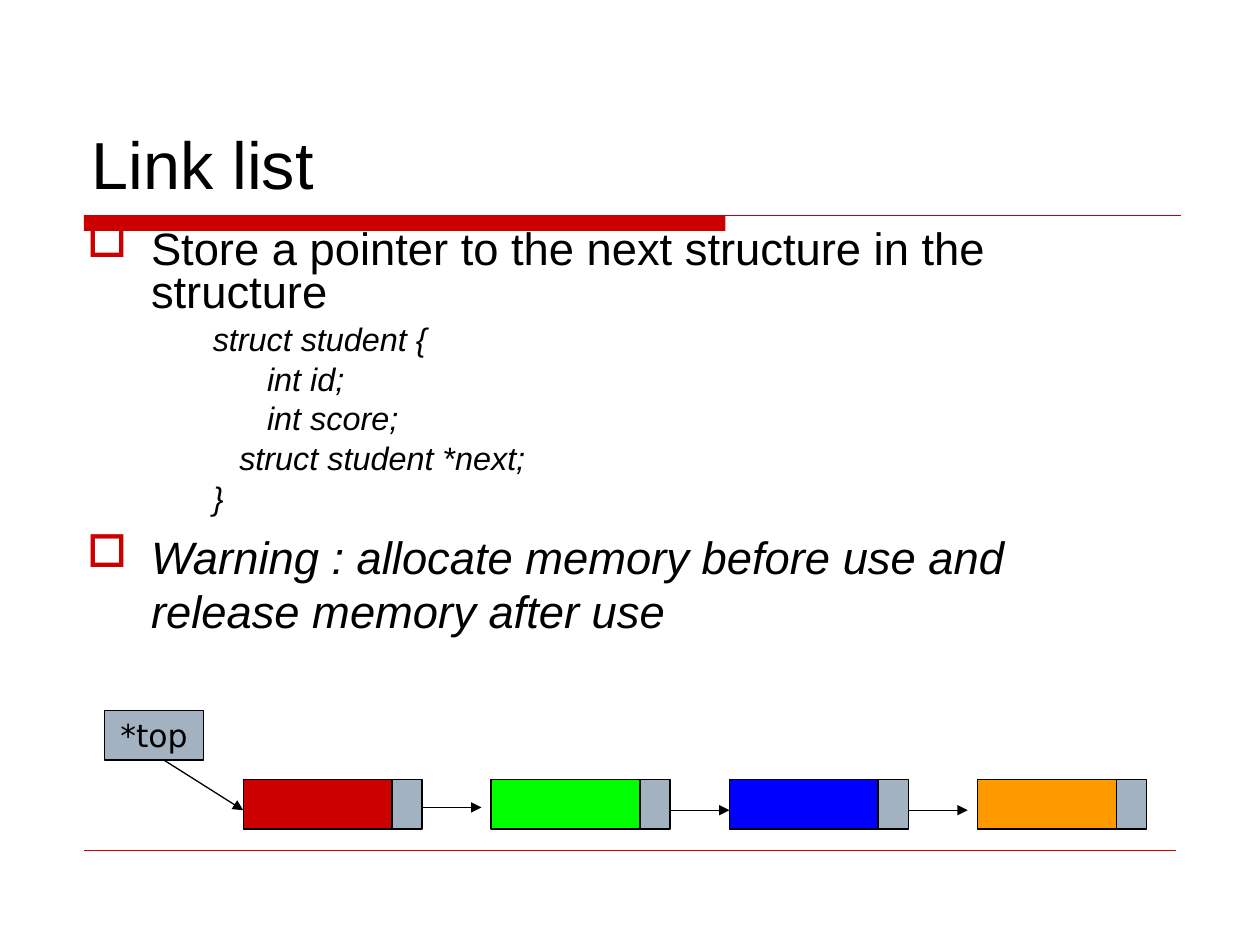
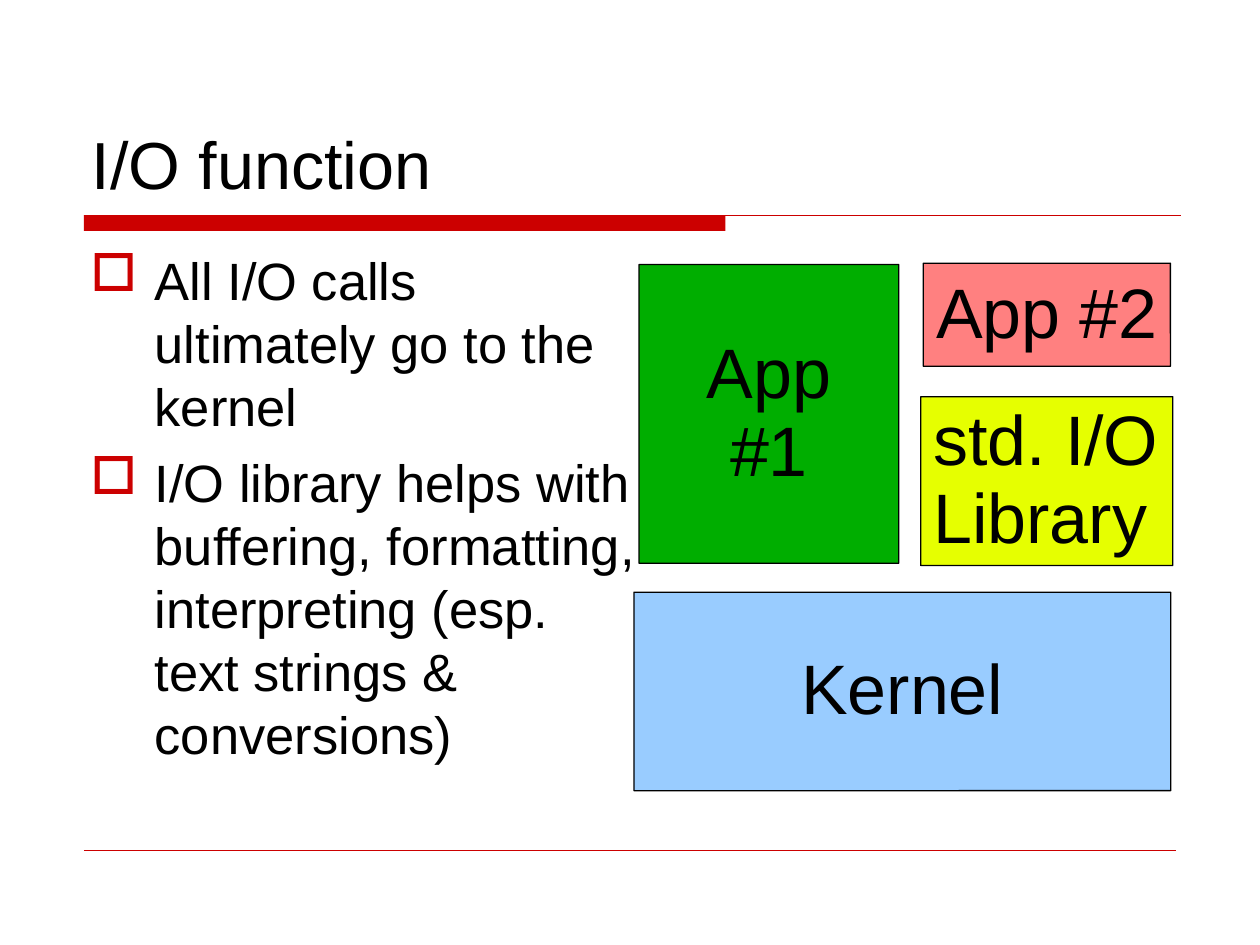
"""Build two lecture slides: linked lists and I/O functions."""
from lxml import etree
from pptx import Presentation
from pptx.dml.color import RGBColor
from pptx.enum.shapes import MSO_CONNECTOR, MSO_SHAPE
from pptx.enum.text import MSO_ANCHOR, PP_ALIGN
from pptx.oxml.ns import qn
from pptx.util import Pt

RECTANGLE = MSO_SHAPE.RECTANGLE
ROUNDED = MSO_SHAPE.ROUNDED_RECTANGLE
STRAIGHT = MSO_CONNECTOR.STRAIGHT
LEFT, CENTER = PP_ALIGN.LEFT, PP_ALIGN.CENTER
BOTTOM, MIDDLE = MSO_ANCHOR.BOTTOM, MSO_ANCHOR.MIDDLE

RED = RGBColor(0xCC, 0x00, 0x00)
BLACK = RGBColor(0x00, 0x00, 0x00)
GRAY = RGBColor(0xA3, 0xB2, 0xC1)
LIME = RGBColor(0x00, 0xFF, 0x00)
BLUE = RGBColor(0x00, 0x00, 0xFF)
ORANGE = RGBColor(0xFF, 0x99, 0x00)
SKY = RGBColor(0x99, 0xCC, 0xFF)
YELLOW = RGBColor(0xE6, 0xFF, 0x00)
GREEN = RGBColor(0x00, 0xAE, 0x00)
SALMON = RGBColor(0xFF, 0x80, 0x80)
FONT, LABEL_FONT = "Arial", "DejaVu Sans"

BULLET_INDENT = 36.7


def add_box(slide, kind, left, top, width, height, fill, text="", size=40,
            font=FONT, align=CENTER, spacing=0.93):
    shape = slide.shapes.add_shape(kind, Pt(left), Pt(top), Pt(width), Pt(height))
    shape.shadow.inherit = False
    shape.fill.solid()
    shape.fill.fore_color.rgb = fill
    shape.line.color.rgb = BLACK
    shape.line.width = Pt(0.75)
    if text:
        frame = shape.text_frame
        frame.word_wrap = False
        frame.vertical_anchor = MIDDLE
        frame.text = text
        for paragraph in frame.paragraphs:
            paragraph.alignment = align
            paragraph.line_spacing = spacing
            paragraph.font.size = Pt(size)
            paragraph.font.name = font
            paragraph.font.color.rgb = BLACK
    return shape


def add_line(slide, start_x, start_y, end_x, end_y, color, width=0.75, arrow=False):
    line = slide.shapes.add_connector(
        STRAIGHT, Pt(start_x), Pt(start_y), Pt(end_x), Pt(end_y))
    line.line.color.rgb = color
    line.line.width = Pt(width)
    properties = line._element.spPr
    if arrow:
        etree.SubElement(properties.find(qn("a:ln")), qn("a:tailEnd"), type="triangle")
    etree.SubElement(properties, qn("a:effectLst"))


presentation = Presentation()
presentation.slide_width = Pt(720)
presentation.slide_height = Pt(540)

CODE_LINES = [
    ("struct student {", 72),
    ("int id;", 103),
    ("int score;", 103),
    ("struct student *next;", 87.2),
    ("}", 72),
]
link_body = [("Store a pointer to the next structure in the structure",
              25.9, BULLET_INDENT, 0.8, 7, False, True)]
link_body += [(text, 18.5, indent, 0.8, 5, True, False) for text, indent in CODE_LINES]
link_body += [("Warning : allocate memory before use and release memory after use",
               25.9, BULLET_INDENT, 1.0, 7, True, True)]
io_body = [(text, 30, BULLET_INDENT, 1.0, 7.5, False, True) for text in (
    "All I/O calls ultimately go to the kernel",
    "I/O library helps with buffering, formatting, interpreting "
    "(esp. text strings & conversions)")]

CONTENT = [
    ("Link list", (42.5, 128.2, 630, 245.5), link_body),
    ("I/O function", (44.6, 138.2, 332.6, 338.4), io_body),
]

for title, body_area, body in CONTENT:
    slide = presentation.slides.add_slide(presentation.slide_layouts[6])

    band = add_box(slide, RECTANGLE, 48, 123, 366.5, 9, RED)
    band.line.fill.background()
    add_line(slide, 48, 123, 675, 123, RED)
    add_line(slide, 48, 486, 672, 486, RED, 0.25)

    title_box = slide.shapes.add_textbox(Pt(45.4), Pt(23.8), Pt(630), Pt(95.8))
    frame = title_box.text_frame
    frame.word_wrap = True
    frame.vertical_anchor = BOTTOM
    frame.text = title
    frame.paragraphs[0].font.size = Pt(38)
    frame.paragraphs[0].font.name = FONT
    frame.paragraphs[0].font.color.rgb = BLACK

    body_box = slide.shapes.add_textbox(*[Pt(length) for length in body_area])
    frame = body_box.text_frame
    frame.word_wrap = True
    frame.text = "\n".join(item[0] for item in body)
    for paragraph, item in zip(frame.paragraphs, body):
        text, size, indent, spacing, before, italic, bulleted = item
        paragraph.line_spacing = spacing
        paragraph.space_before = Pt(before)
        paragraph.font.size = Pt(size)
        paragraph.font.name = FONT
        paragraph.font.italic = italic
        paragraph.font.color.rgb = BLACK
        properties = paragraph._p.get_or_add_pPr()
        properties.set("marL", str(Pt(indent)))
        properties.set("indent", str(-Pt(indent) if bulleted else 0))
        if bulleted:
            bullet_color = etree.SubElement(properties, qn("a:buClr"))
            etree.SubElement(bullet_color, qn("a:srgbClr"), val=str(RED))
            etree.SubElement(properties, qn("a:buChar"), char="□")

link_slide, io_slide = presentation.slides

NODE_TOP, NODE_HEIGHT = 445.6, 28.2
DATA_WIDTH, POINTER_WIDTH, ARROW_LENGTH = 85, 17.2, 34
NODES = [
    (RED, 139, 224, 461.4),
    (LIME, 280.6, 365.7, 463),
    (BLUE, 416.8, 501.8, 463),
    (ORANGE, 558.5, 638, None),
]
add_box(link_slide, RECTANGLE, 59.6, 406, 56.8, 28.3, GRAY, "*top", 18, LABEL_FONT,
        spacing=1.0)
add_line(link_slide, 93.6, 434.3, 139, 463, BLACK, arrow=True)
for color, data_left, pointer_left, arrow_y in NODES:
    add_box(link_slide, RECTANGLE, data_left, NODE_TOP, DATA_WIDTH, NODE_HEIGHT, color)
    add_box(link_slide, RECTANGLE, pointer_left, NODE_TOP, POINTER_WIDTH, NODE_HEIGHT, GRAY)
    if arrow_y:
        arrow_left = pointer_left + POINTER_WIDTH
        add_line(link_slide, arrow_left, arrow_y, arrow_left + ARROW_LENGTH, arrow_y,
                 BLACK, arrow=True)

LAYERS = [
    ("Kernel", SKY, CENTER, 362.3, 338.4, 306.7, 113.4),
    ("std. I/O\nLibrary", YELLOW, LEFT, 526.2, 226.7, 144, 96.5),
    ("App\n#1", GREEN, CENTER, 365.2, 151.2, 148.4, 170.7),
    ("App #2", SALMON, CENTER, 527.6, 150.4, 141.2, 58.9),
]
for text, color, align, left, top, width, height in LAYERS:
    layer = add_box(io_slide, ROUNDED, left, top, width, height, color, text, align=align)
    layer.adjustments[0] = 0.001

presentation.save("out.pptx")
